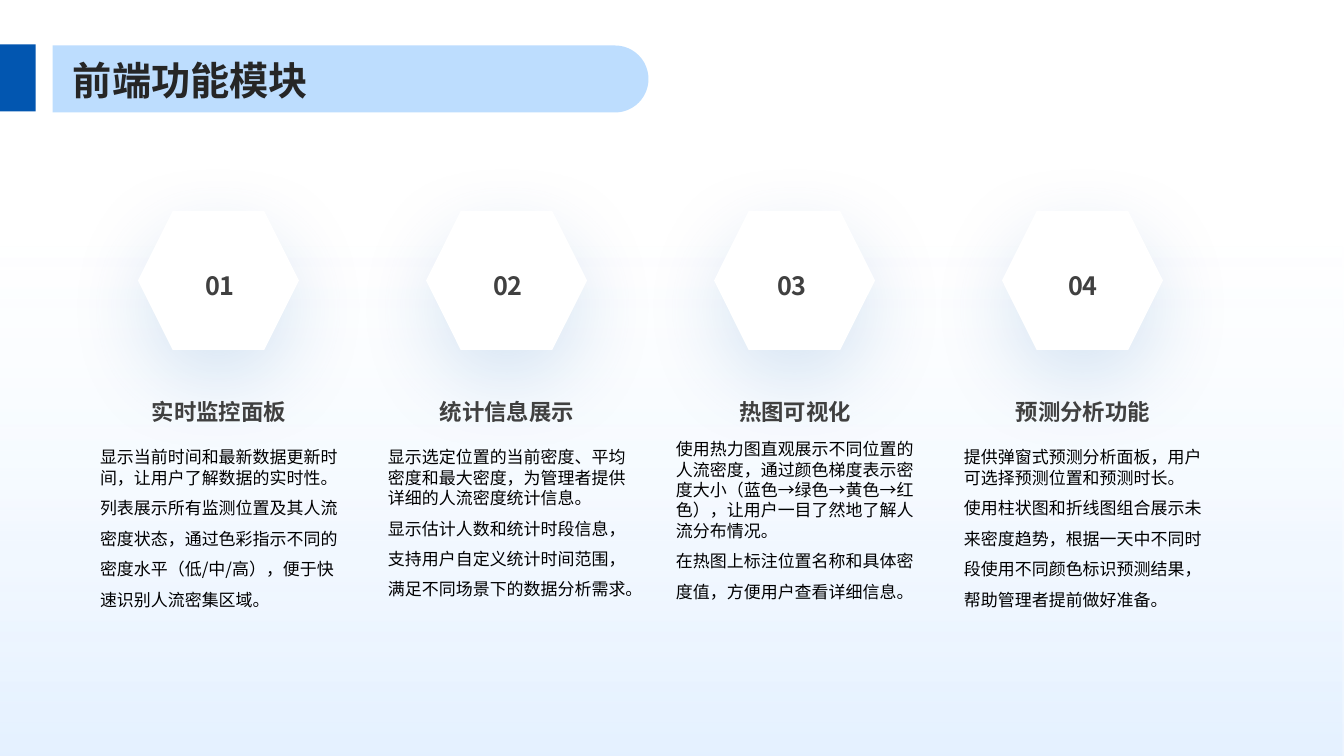
from dataclasses import dataclass

from lxml.etree import SubElement
from pptx import Presentation
from pptx.dml.color import RGBColor
from pptx.enum.shapes import MSO_SHAPE as Preset
from pptx.enum.text import MSO_ANCHOR as Anchor, MSO_AUTO_SIZE as AutoSize, PP_ALIGN as Align
from pptx.oxml import parse_xml
from pptx.oxml.ns import nsdecls, qn
from pptx.shapes.autoshape import Shape
from pptx.slide import Slide
from pptx.util import Emu, Pt

SLIDE_W, SLIDE_H = 1344, 756
EMU_PER_PX = 12192000 / SLIDE_W
COLUMN_PITCH = 288


@dataclass(frozen=True)
class Theme:
    font: str = "Noto Sans CJK SC"
    deep_blue: str = "0256B0"
    light_blue: str = "BDDDFE"
    sky_blue: str = "7CBAFE"
    white: str = "FFFFFF"
    title_ink: str = "262626"
    heading_ink: str = "404040"
    body_ink: str = "000000"
    title_size: float = 28
    number_size: float = 18
    heading_size: float = 16
    body_size: float = 12.1


THEME = Theme()


@dataclass(frozen=True)
class Box:
    left: int
    top: int
    width: int
    height: int

    def moved(self, dx: int = 0, dy: int = 0) -> "Box":
        return Box(self.left + dx, self.top + dy, self.width, self.height)

    def emu(self) -> list[Emu]:
        return [px(v) for v in (self.left, self.top, self.width, self.height)]


@dataclass(frozen=True)
class Style:
    size: float
    ink: str
    bold: bool = False
    align: Align = Align.LEFT
    anchor: Anchor = Anchor.MIDDLE


@dataclass(frozen=True)
class Module:
    number: str
    heading: str
    summary: str
    detail: str
    number_dx: int = 0
    body_dy: int = 0


TITLE = Style(THEME.title_size, THEME.title_ink, True)
NUMBER = Style(THEME.number_size, THEME.heading_ink, True, Align.CENTER)
HEADING = Style(THEME.heading_size, THEME.heading_ink, True, Align.CENTER)
BODY = Style(THEME.body_size, THEME.body_ink, anchor=Anchor.TOP)

# Places in the first column
HEXAGON_BOX = Box(138, 211, 161, 139)
NUMBER_BOX = Box(157, 243, 126, 75)
HEADING_BOX = Box(100, 370, 238, 75)
BODY_BOX = Box(100, 447, 238, 195)

MODULES = [
    Module("01", "实时监控面板",
           "显示当前时间和最新数据更新时间，让用户了解数据的实时性。",
           "列表展示所有监测位置及其人流密度状态，通过色彩指示不同的密度水平（低/中/高），"
           "便于快速识别人流密集区域。"),
    Module("02", "统计信息展示",
           "显示选定位置的当前密度、平均密度和最大密度，为管理者提供详细的人流密度统计信息。",
           "显示估计人数和统计时段信息，支持用户自定义统计时间范围，满足不同场景下的数据分析需求。"),
    Module("03", "热图可视化",
           "使用热力图直观展示不同位置的人流密度，通过颜色梯度表示密度大小"
           "（蓝色→绿色→黄色→红色），让用户一目了然地了解人流分布情况。",
           "在热图上标注位置名称和具体密度值，方便用户查看详细信息。",
           number_dx=-4, body_dy=-8),
    Module("04", "预测分析功能",
           "提供弹窗式预测分析面板，用户可选择预测位置和预测时长。",
           "使用柱状图和折线图组合展示未来密度趋势，根据一天中不同时段使用不同颜色标识预测结果，"
           "帮助管理者提前做好准备。",
           number_dx=-1),
]


def px(value: int) -> Emu:
    return Emu(round(value * EMU_PER_PX))


def add_plain(slide: Slide, preset: Preset, box: Box, color: str, rotation: int = 0) -> Shape:
    shape = slide.shapes.add_shape(preset, *box.emu())
    shape.rotation = rotation
    shape.shadow.inherit = False
    shape.fill.solid()
    shape.fill.fore_color.rgb = RGBColor.from_string(color)
    shape.line.fill.background()
    return shape


def write(shape: Shape, style: Style, lines: list[tuple[str, float]]) -> None:
    """Fill a shape with paragraphs, each given as text and line spacing."""
    frame = shape.text_frame
    frame.word_wrap = True
    frame.auto_size = AutoSize.NONE
    frame.vertical_anchor = style.anchor
    frame.margin_left = frame.margin_top = frame.margin_right = frame.margin_bottom = 0
    for index, (text, spacing) in enumerate(lines):
        paragraph = frame.add_paragraph() if index else frame.paragraphs[0]
        paragraph.alignment = style.align
        paragraph.line_spacing = spacing
        run = paragraph.add_run()
        run.text = text
        font = run.font
        font.name, font.size, font.bold = THEME.font, Pt(style.size), style.bold
        font.color.rgb = RGBColor.from_string(style.ink)
        SubElement(run._r.get_or_add_rPr(), qn("a:ea"), typeface=THEME.font)


def add_text(slide: Slide, box: Box, style: Style, lines: list[tuple[str, float]]) -> None:
    write(slide.shapes.add_textbox(*box.emu()), style, lines)


def add_backdrop(slide: Slide) -> None:
    backdrop = add_plain(slide, Preset.RECTANGLE, Box(0, 0, SLIDE_W, SLIDE_H), THEME.white)
    solid = backdrop._element.spPr.find(qn("a:solidFill"))
    stops = "".join(
        f'<a:gs pos="{pos}000"><a:srgbClr val="{color}"><a:alpha val="{alpha}000"/></a:srgbClr></a:gs>'
        for pos, color, alpha in [(32, THEME.light_blue, 0), (100, THEME.sky_blue, 20)])
    solid.getparent().replace(solid, parse_xml(
        f'<a:gradFill {nsdecls("a")} rotWithShape="1"><a:gsLst>{stops}</a:gsLst>'
        '<a:lin ang="5400000" scaled="0"/></a:gradFill>'))


def add_hexagon(slide: Slide, box: Box) -> None:
    hexagon = add_plain(slide, Preset.HEXAGON, box, THEME.white)
    effects = hexagon._element.spPr.find(qn("a:effectLst"))
    effects.append(parse_xml(
        f'<a:outerShdw {nsdecls("a")} blurRad="{Pt(60)}" dist="{Pt(20)}" dir="5400000" '
        f'algn="t" rotWithShape="0"><a:srgbClr val="{THEME.deep_blue}">'
        '<a:alpha val="15000"/></a:srgbClr></a:outerShdw>'))


def add_module(slide: Slide, module: Module, dx: int) -> None:
    add_hexagon(slide, HEXAGON_BOX.moved(dx))
    add_text(slide, NUMBER_BOX.moved(dx + module.number_dx), NUMBER, [(module.number, 1.3)])
    add_text(slide, HEADING_BOX.moved(dx), HEADING, [(module.heading, 1.3)])
    add_text(slide, BODY_BOX.moved(dx, module.body_dy), BODY,
             [(module.summary, 1.0), (module.detail, 1.5)])


def add_title(slide: Slide) -> None:
    add_plain(slide, Preset.RECTANGLE, Box(-16, 60, 67, 36), THEME.deep_blue, 90)
    band = add_plain(slide, Preset.ROUND_2_SAME_RECTANGLE, Box(317, -219, 67, 596),
                     THEME.light_blue, 90)
    band.adjustments[0], band.adjustments[1] = 0.5, 0
    title = slide.shapes.title
    title.left, title.top, title.width, title.height = Box(73, 52, 1198, 51).emu()
    write(title, TITLE, [("前端功能模块", 1.1)])
    # Bring the title in front of its band
    slide.shapes._spTree.append(title._element)


def main() -> None:
    deck = Presentation()
    deck.slide_width, deck.slide_height = px(SLIDE_W), px(SLIDE_H)
    slide = deck.slides.add_slide(deck.slide_layouts[5])
    add_backdrop(slide)
    for column, module in enumerate(MODULES):
        add_module(slide, module, column * COLUMN_PITCH)
    add_title(slide)
    deck.save("out.pptx")


if __name__ == "__main__":
    main()
